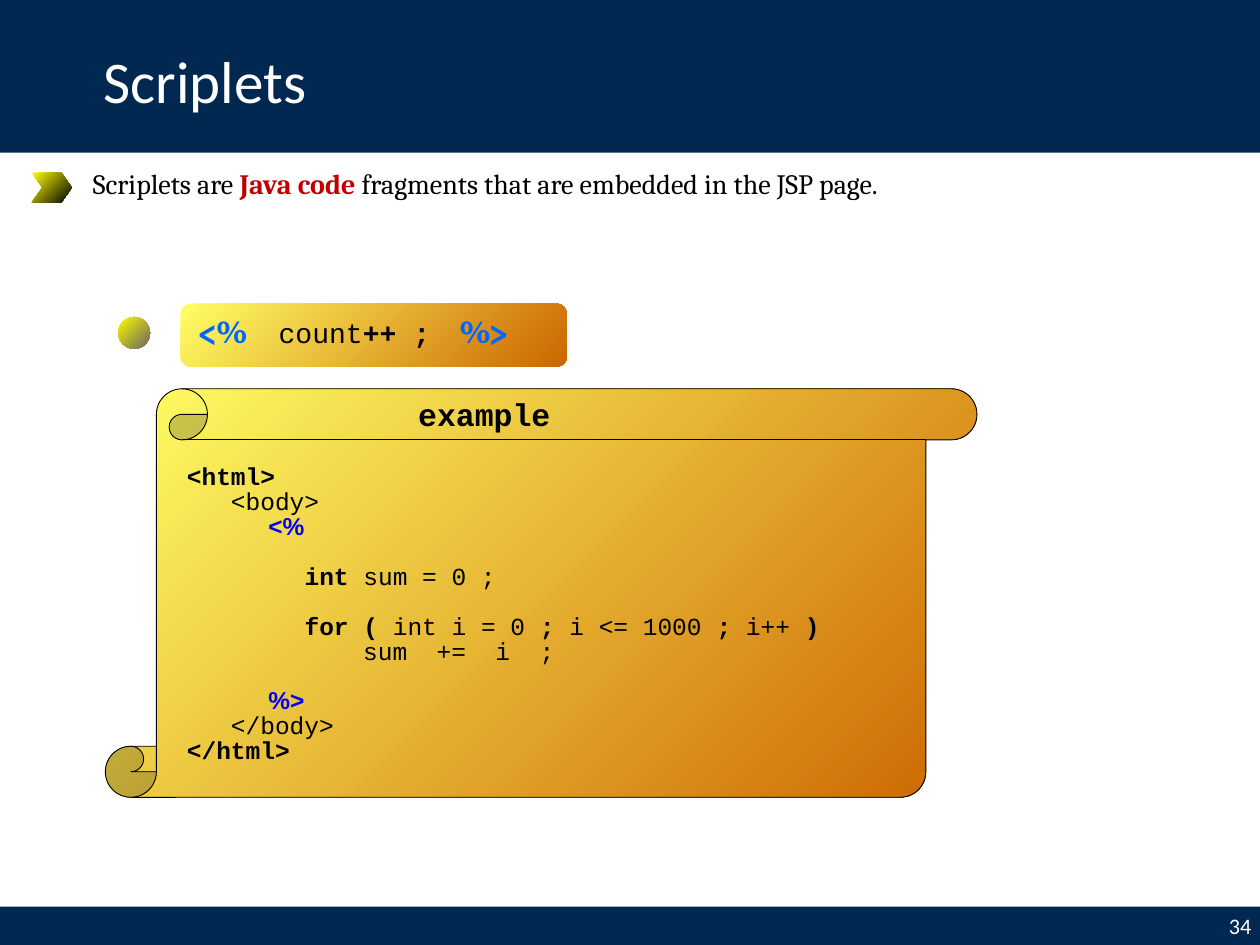
from pptx import Presentation
from pptx.dml.color import RGBColor
from pptx.enum.shapes import MSO_SHAPE as Kind
from pptx.enum.text import MSO_ANCHOR, PP_ALIGN
from pptx.util import Inches, Pt

HUES = {"navy": "002850", "white": "FFFFFF", "black": "000000", "red": "C00000",
        "sky": "0066FF", "blue": "0000FF", "lemon": "FFFF00", "sand": "FFFF66",
        "rust": "CC6600", "grey": "696464"}

# Font, size, colour, bold
STYLES = {
    "title": ("Calibri", 48, "white", False),
    "page": ("Calibri", 18, "white", False),
    "body": ("Cambria", 22.8, "black", False),
    "key": ("Cambria", 22.8, "red", True),
    "tag": ("TeX Gyre Bonum", 25.6, "sky", True),
    "gap": ("TeX Gyre Bonum", 25.6, "black", False),
    "term": ("Courier New", 22.8, "black", False),
    "sign": ("Courier New", 22.8, "black", True),
    "head": ("Courier New", 25.6, "black", True),
    "code": ("Courier New", 19.9, "black", False),
    "bold": ("Courier New", 19.9, "black", True),
    "mark": ("Arial", 19.9, "blue", True),
}

deck = Presentation()
deck.slide_width, deck.slide_height = Inches(14.22), Inches(10.67)
slide = deck.slides.add_slide(deck.slide_layouts[6])

# Grid of 128 columns by 96 rows
COL, ROW = deck.slide_width / 128, deck.slide_height / 96


def draw(kind, x, y, w, h, *fill, line=None):
    """Place a shape on the grid, or a text box when kind is None."""
    area = [int(n) for n in (x * COL, y * ROW, w * COL, h * ROW)]
    if kind is None:
        box = slide.shapes.add_textbox(*area)
        box.text_frame.word_wrap = True
        return box
    box = slide.shapes.add_shape(kind, *area)
    box.shadow.inherit = False
    if len(fill) == 1:
        box.fill.solid()
        box.fill.fore_color.rgb = RGBColor.from_string(HUES[fill[0]])
    else:
        box.fill.gradient()
        box.fill.gradient_angle = 315
        for stop, hue in zip(box.fill.gradient_stops, fill):
            stop.color.rgb = RGBColor.from_string(HUES[hue])
    if line:
        box.line.color.rgb = RGBColor.from_string(HUES[line])
        box.line.width = Pt(0.75)
    else:
        box.line.fill.background()
    return box


def write(para, *parts):
    """Fill a paragraph with (style, text) parts."""
    for style, text in parts:
        run = para.add_run()
        run.text = text
        font = para.font if len(parts) == 1 else run.font
        font.name, size, hue, font.bold = STYLES[style]
        font.size = Pt(size)
        font.color.rgb = RGBColor.from_string(HUES[hue])


# Bands with title and page number
draw(Kind.RECTANGLE, 0, 0, 128, 15.5, "navy")
foot = draw(Kind.RECTANGLE, 0, 92.1, 128, 3.9, "navy").text_frame
foot.vertical_anchor = MSO_ANCHOR.MIDDLE
foot.paragraphs[0].alignment = PP_ALIGN.RIGHT
write(foot.paragraphs[0], ("page", "34"))

title = draw(None, 9.65, 1.5, 108.8, 14.2).text_frame
title.vertical_anchor = MSO_ANCHOR.MIDDLE
title.paragraphs[0].line_spacing = 0.9
write(title.paragraphs[0], ("title", "Scriplets"))

# Definition
intro = draw(None, 8.55, 16.45, 108.8, 4.3).text_frame
write(intro.paragraphs[0], ("body", "Scriplets are "), ("key", "Java code "),
      ("body", "fragments that are embedded in the JSP page."))
arrow = draw(Kind.CHEVRON, 3.25, 17.55, 4.05, 3, "lemon", "black")
arrow.adjustments[0] = 0.35

# Syntax
draw(Kind.ROUNDED_RECTANGLE, 18.35, 30.85, 39.25, 6.4, "sand", "rust")
draw(Kind.OVAL, 12, 32.2, 3.25, 3.25, "lemon", "grey")
form = draw(None, 19.25, 31.3, 68.7, 4.8).text_frame
write(form.paragraphs[0], ("tag", "<%   "), ("term", "count"), ("sign", "++ ;"),
      ("gap", "   "), ("tag", "%>"))

# Example scroll
draw(Kind.VERTICAL_SCROLL, 10.7, 39.5, 88.55, 41.5, "sand", "rust", line="black")
head = draw(None, 41.6, 39.7, 22.4, 4.8).text_frame
write(head.paragraphs[0], ("head", "example"))

# Code lines: space before in points, then parts
LINES = [
    (0, ("bold", "<html>")),
    (0, ("code", "   <body>")),
    (0, ("mark", "            <%")),
    (20, ("code", "        "), ("bold", "int"), ("code", " sum = 0 ;")),
    (20, ("code", "        "), ("bold", "for ("), ("code", " int i = 0 "),
     ("bold", ";"), ("code", " i <= 1000 "), ("bold", ";"), ("code", " i++ "),
     ("bold", ")")),
    (0, ("code", "            sum  +=  i  ;")),
    (20, ("mark", "            %>")),
    (0, ("code", "   </body>")),
    (0, ("bold", "</html>")),
]
code = draw(None, 18.1, 46.9, 82.2, 31.8).text_frame
for i, (gap, *parts) in enumerate(LINES):
    para = code.add_paragraph() if i else code.paragraphs[0]
    para.line_spacing = 0.85
    para.space_before = Pt(gap)
    write(para, *parts)

deck.save("out.pptx")
